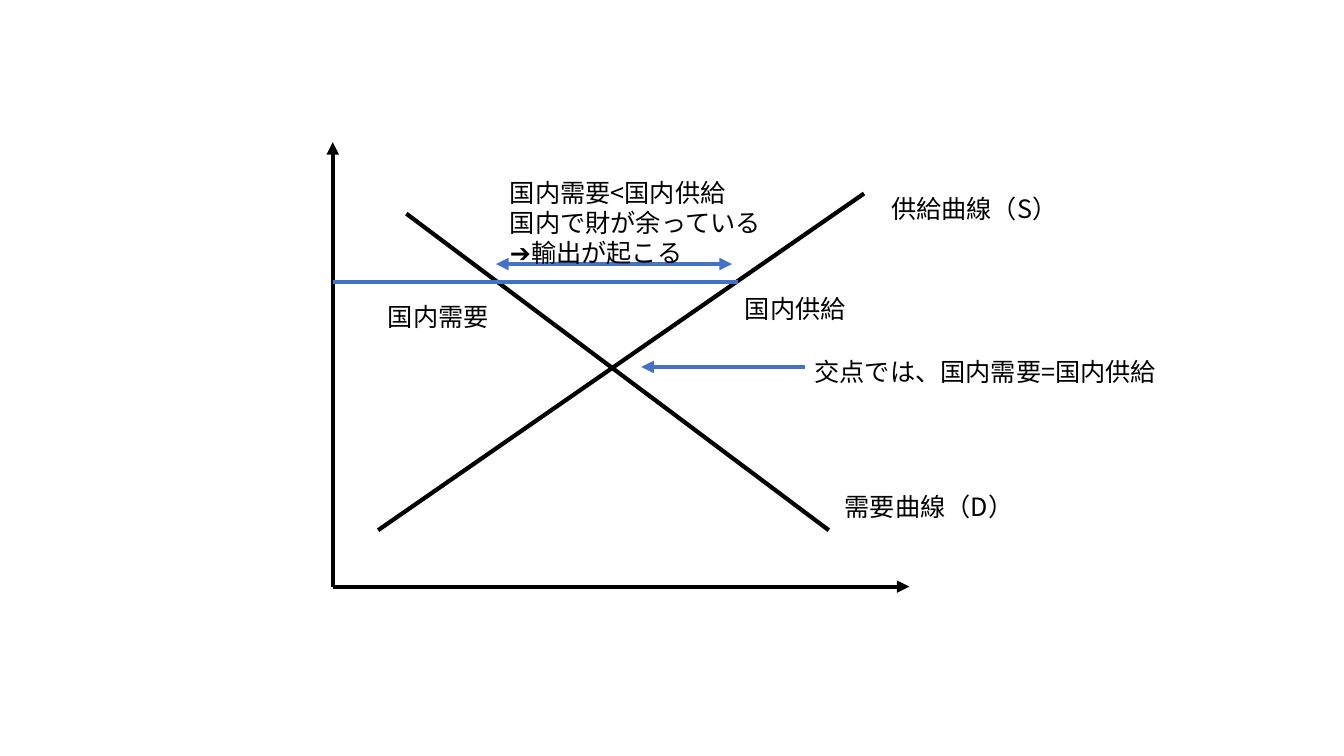
from lxml import etree
from pptx import Presentation
from pptx.dml.color import RGBColor
from pptx.enum.shapes import MSO_CONNECTOR
from pptx.enum.text import MSO_ANCHOR, MSO_AUTO_SIZE
from pptx.oxml.ns import qn
from pptx.util import Inches, Pt

STRAIGHT = MSO_CONNECTOR.STRAIGHT
TOP = MSO_ANCHOR.TOP
GROW = MSO_AUTO_SIZE.SHAPE_TO_FIT_TEXT
COLORS = {"ink": "000000", "accent": "4472C4"}
FONT = "Noto Sans CJK JP"
LINE_HEIGHT = 0.3
PADDING = 0.1


def add_line(page, box, start, end, color="ink", head=False, tail=False):
    """Draw a line between two points given in inches from the box corner."""
    left, top = box[:2]
    line = page.shapes.add_connector(
        STRAIGHT, Inches(left + start[0]), Inches(top + start[1]),
        Inches(left + end[0]), Inches(top + end[1]))
    line.line.color.rgb = RGBColor.from_string(COLORS[color])
    line.line.width = Pt(3)
    outline = line.line._get_or_add_ln()
    for name, wanted in (("a:headEnd", head), ("a:tailEnd", tail)):
        if wanted:
            etree.SubElement(outline, qn(name), type="triangle")
    etree.SubElement(line._element.spPr, qn("a:effectLst"))


def add_label(page, box, text, place, width, size=18, color="ink"):
    """Write one paragraph per line of text, placed from the box corner."""
    rows = text.split("\n")
    label = page.shapes.add_textbox(
        Inches(box[0] + place[0]), Inches(box[1] + place[1]),
        Inches(width), Inches(PADDING + LINE_HEIGHT * len(rows)))
    frame = label.text_frame
    frame.word_wrap = True
    frame.auto_size = GROW
    frame.vertical_anchor = TOP
    for index, row in enumerate(rows):
        para = frame.paragraphs[0] if index == 0 else frame.add_paragraph()
        span = para.add_run()
        span.text = row
        span.font.size = Pt(size)
        span.font.name = FONT
        span.font.color.rgb = RGBColor.from_string(COLORS[color])
        etree.SubElement(span.font._element, qn("a:ea"), typeface=FONT)


def draw_axes(page, box):
    """Draw the two arrowed axes from the lower left corner of the box."""
    width, height = box[2:]
    origin = (0, height)
    for end in ((width, height), (0, 0)):
        add_line(page, box, origin, end, tail=True)


def draw_curves(page, box):
    """Draw the demand and supply curves with their names."""
    add_line(page, box, (0.73, 0.71), (4.92, 3.85))
    add_line(page, box, (0.45, 3.85), (5.27, 0.51))
    add_label(page, box, "需要曲線（D）", (4.98, 3.42), 1.9)
    add_label(page, box, "供給曲線（S）", (5.44, 0.46), 1.87)


def draw_equilibrium(page, box):
    """Point at the crossing of the curves and explain it."""
    arrow_start = 4.68
    add_line(page, box, (arrow_start, 2.23), (3.06, 2.23), "accent", tail=True)
    add_label(page, box, "交点では、国内需要=国内供給", (arrow_start, 2.08), 3.67)


def draw_surplus(page, box):
    """Draw the price line and the surplus that leads to exports."""
    add_line(page, box, (4.02, 1.39), (0, 1.39), "accent")
    add_label(page, box, "国内供給", (3.99, 1.45), 1.21)
    add_label(page, box, "国内需要", (0.45, 1.53), 1.4)
    add_line(page, box, (1.62, 1.21), (3.96, 1.21), "accent", head=True, tail=True)
    add_label(page, box, "国内需要<国内供給\n国内で財が余っている\n➔輸出が起こる",
              (1.66, 0.3), 2.73)


def main():
    """Build the supply and demand slide."""
    deck = Presentation()
    deck.slide_width, deck.slide_height = Inches(13.33), Inches(7.5)
    page = deck.slides.add_slide(deck.slide_layouts[6])
    diagram = (3.3, 1.41, 5.72, 4.41)
    for draw in (draw_axes, draw_curves, draw_equilibrium, draw_surplus):
        draw(page, diagram)
    deck.save("out.pptx")


if __name__ == "__main__":
    main()
